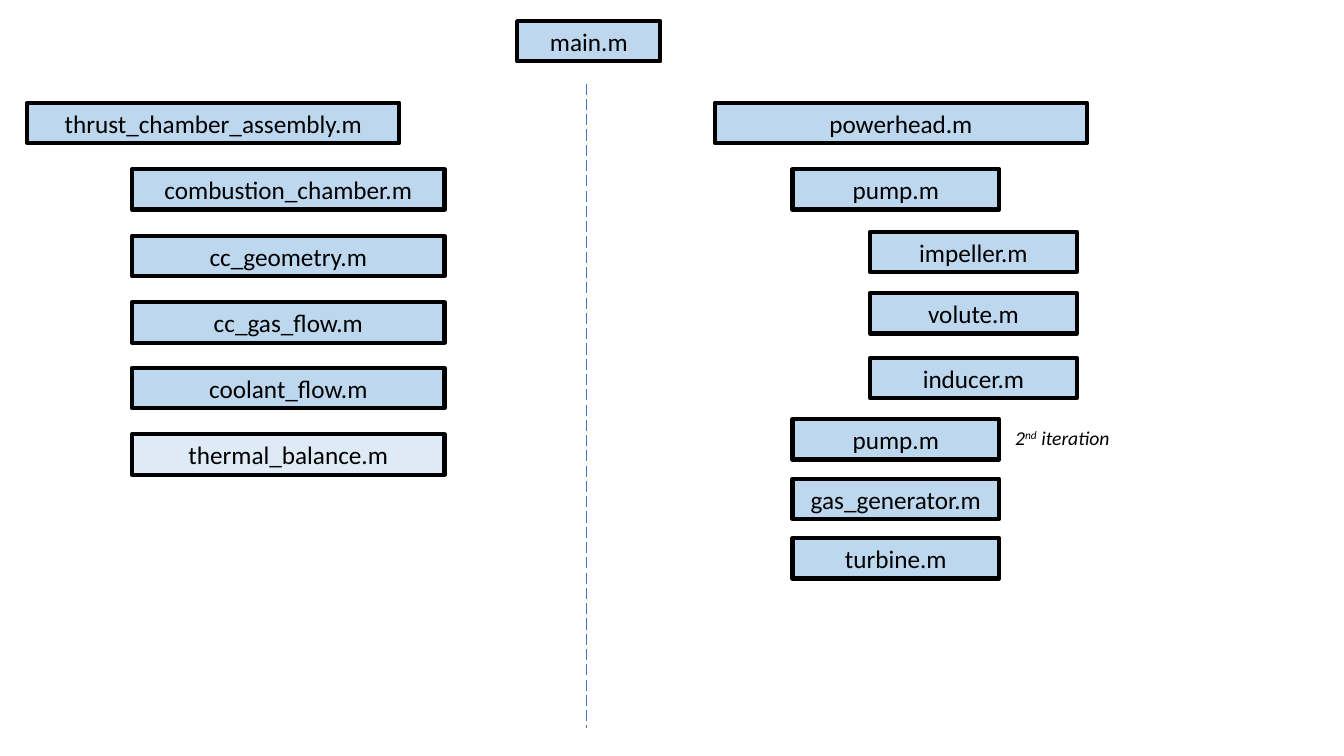
from lxml import etree
from pptx import Presentation
from pptx import util as u
from pptx.dml.color import RGBColor
from pptx.enum import dml, shapes, text
from pptx.oxml.ns import qn

PX = 9144


def px(*lengths):
    return [u.Emu(length * PX) for length in lengths]


def color(value):
    return RGBColor.from_string(value)


class CallTree:
    font = "Calibri"
    ink = "000000"
    fill = "BDD7EE"
    pale_fill = "DEEBF7"
    divider = "4472C4"
    box_height = 40

    def __init__(self, slide):
        self.slide = slide

    def style_run(self, run, size, italic=False):
        run.font.name = self.font
        run.font.size = u.Pt(size)
        run.font.italic = italic
        run.font.color.rgb = color(self.ink)

    def box(self, name, left, top, width, fill=fill):
        shape = self.slide.shapes.add_shape(
            shapes.MSO_SHAPE.RECTANGLE, *px(left, top, width, self.box_height))
        shape.shadow.inherit = False
        shape.fill.solid()
        shape.fill.fore_color.rgb = color(fill)
        shape.line.color.rgb = color(self.ink)
        shape.line.width = u.Pt(3)
        frame = shape.text_frame
        frame.text = name
        frame.word_wrap = True
        frame.auto_size = text.MSO_AUTO_SIZE.SHAPE_TO_FIT_TEXT
        paragraph = frame.paragraphs[0]
        paragraph.alignment = text.PP_ALIGN.CENTER
        self.style_run(paragraph.runs[0], 18)

    def note(self, parts, left, top, width, height):
        shape = self.slide.shapes.add_textbox(*px(left, top, width, height))
        frame = shape.text_frame
        frame.word_wrap = True
        frame.auto_size = text.MSO_AUTO_SIZE.SHAPE_TO_FIT_TEXT
        for words, baseline in parts:
            run = frame.paragraphs[0].add_run()
            run.text = words
            self.style_run(run, 14, italic=True)
            if baseline:
                run._r.get_or_add_rPr().set("baseline", str(baseline))

    def dashed_line(self, x, top, bottom):
        line = self.slide.shapes.add_connector(
            shapes.MSO_CONNECTOR.STRAIGHT, *px(x, top, x, bottom))
        line.line.color.rgb = color(self.divider)
        line.line.width = u.Pt(1)
        line.line.dash_style = dml.MSO_LINE.LONG_DASH
        etree.SubElement(line._element.spPr, qn("a:effectLst"))


def main():
    presentation = Presentation()
    presentation.slide_width, presentation.slide_height = px(1333, 750)
    slide = presentation.slides.add_slide(presentation.slide_layouts[6])
    tree = CallTree(slide)

    tree.box("main.m", 513, 21, 142)
    tree.box("thrust_chamber_assembly.m", 27, 102, 369)
    tree.box("powerhead.m", 709, 102, 369)

    chamber_files = ["combustion_chamber.m", "cc_geometry.m", "cc_gas_flow.m",
                     "coolant_flow.m", "thermal_balance.m"]
    for row, name in enumerate(chamber_files):
        fill = tree.pale_fill if name == "thermal_balance.m" else tree.fill
        tree.box(name, 131, round(168 + 65.75 * row), 310, fill)

    powerhead_files = [
        ("pump.m", 1, 168),
        ("impeller.m", 2, 230),
        ("volute.m", 2, 291),
        ("inducer.m", 2, 355),
        ("pump.m", 1, 416),
        ("gas_generator.m", 1, 475),
        ("turbine.m", 1, 534),
    ]
    for name, level, top in powerhead_files:
        tree.box(name, 709 + 77 * level, top, 205)

    tree.note([("2", 0), ("nd", 30000), (" iteration", 0)], 997, 418, 184, 34)
    tree.dashed_line(582, 83, 722)

    presentation.save("out.pptx")


if __name__ == "__main__":
    main()
